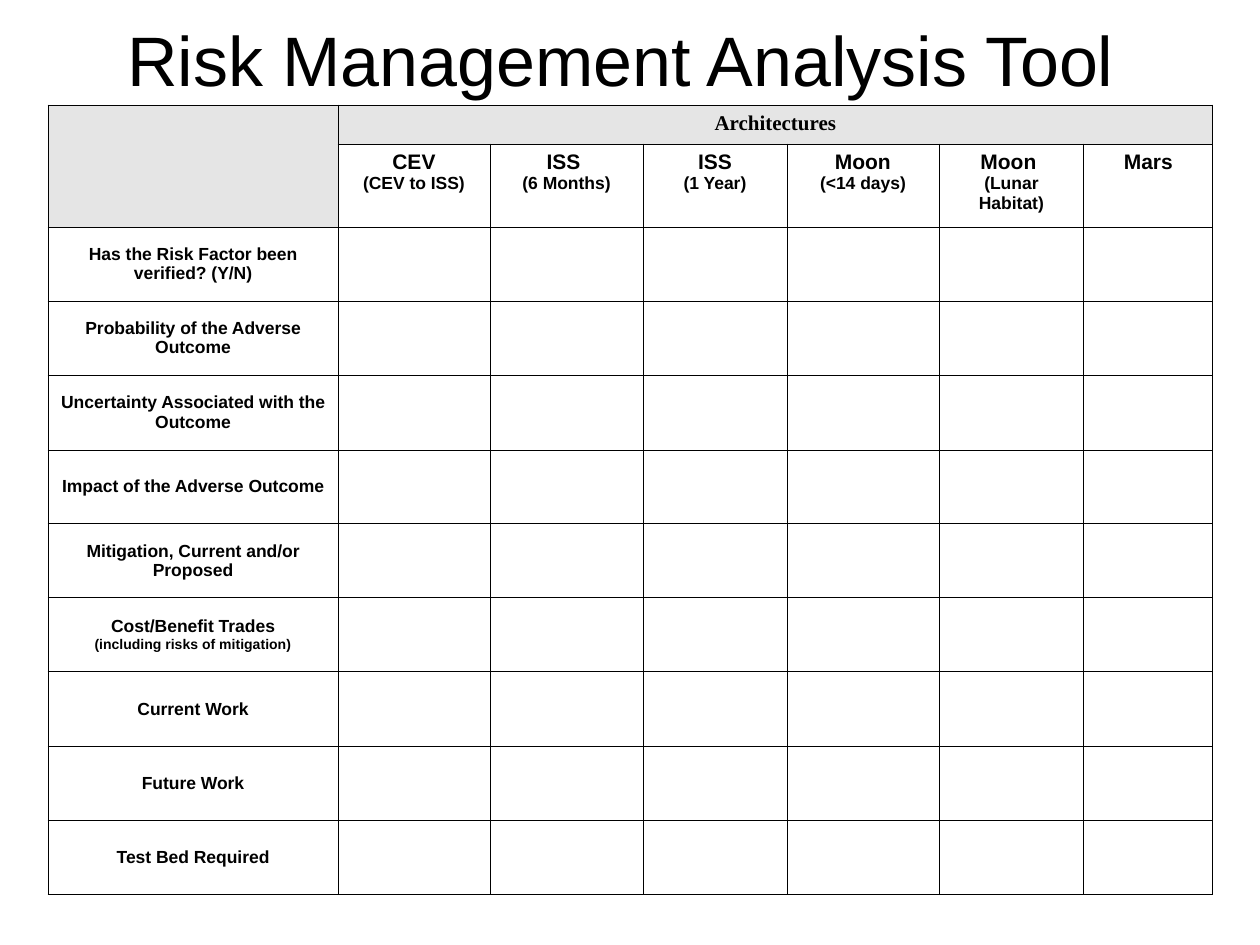
from dataclasses import dataclass

from lxml.etree import SubElement
from pptx import Presentation
from pptx.dml.color import RGBColor as RGB
from pptx.enum.text import MSO_ANCHOR as ANCHOR, PP_ALIGN as ALIGN
from pptx.oxml.ns import qn
from pptx.util import Emu, Pt

SCALE = 914400 // 126  # EMU per px


@dataclass(frozen=True)
class Theme:
    ink: RGB = RGB(0x00, 0x00, 0x00)
    shade: RGB = RGB(0xE5, 0xE5, 0xE5)
    sans: str = "Arial"
    serif: str = "Times New Roman"
    title: int = 40
    head: int = 12
    label: int = 10
    note: int = 8
    border: float = 0.45


THEME = Theme()


def write(tf, lines, font=THEME.sans, bold=True):
    """Write (text, size) lines as centred paragraphs."""
    for i, (text, size) in enumerate(lines):
        p = tf.add_paragraph() if i else tf.paragraphs[0]
        p.alignment = ALIGN.CENTER
        r = p.add_run()
        r.text = text
        r.font.name, r.font.size, r.font.bold = font, Pt(size), bold
        r.font.color.rgb = THEME.ink


def style_cell(cell, fill=None):
    """Draw the four borders, then set the fill, which must follow them."""
    tc_pr = cell._tc.get_or_add_tcPr()
    for side in ("lnL", "lnR", "lnT", "lnB"):
        ln = SubElement(tc_pr, qn(f"a:{side}"), w=str(int(Pt(THEME.border))))
        line_fill = SubElement(ln, qn("a:solidFill"))
        SubElement(line_fill, qn("a:srgbClr"), val=str(THEME.ink))
    if fill is None:
        cell.fill.background()
    else:
        cell.fill.solid()
        cell.fill.fore_color.rgb = fill


prs = Presentation()
prs.slide_width, prs.slide_height = Emu(1260 * SCALE), Emu(945 * SCALE)
s = prs.slides.add_slide(prs.slide_layouts[5])

title = s.shapes.title
title.left, title.top, title.width, title.height = (
    Emu(v * SCALE) for v in (63, -21, 1134, 158))
title.text_frame.vertical_anchor = ANCHOR.MIDDLE
# The trailing space shifts the centred title slightly left
write(title.text_frame, [("Risk Management Analysis Tool ", THEME.title)], bold=False)

architectures = [
    ("CEV", "(CEV to ISS)"),
    ("ISS ", "(6 Months)"),
    ("ISS", "(1 Year)"),
    ("Moon", "(<14 days)"),
    ("Moon ", "(Lunar Habitat)"),
    ("Mars",),
]
questions = [
    ("Has the Risk Factor been verified? (Y/N)",),
    ("Probability of the Adverse Outcome",),
    ("Uncertainty Associated with the Outcome",),
    ("Impact of the Adverse Outcome",),
    ("Mitigation, Current and/or Proposed",),
    ("Cost/Benefit Trades", "(including risks of mitigation)"),
    ("Current Work",),
    ("Future Work",),
    ("Test Bed Required",),
]

# Column and row edges in px; the question rows share their height equally
xs = [48, 338, 490, 643, 787, 939, 1084, 1213]
body_top, body_bottom = 227, 895
n = len(questions)
ys = [105, 144] + [body_top + round((body_bottom - body_top) * i / n) for i in range(n + 1)]

frame = s.shapes.add_table(
    len(ys) - 1, len(xs) - 1, Emu(xs[0] * SCALE), Emu(ys[0] * SCALE),
    Emu((xs[-1] - xs[0]) * SCALE), Emu((ys[-1] - ys[0]) * SCALE))
table = frame.table
table.first_row = table.horz_banding = False
for col, left, right in zip(table.columns, xs, xs[1:]):
    col.width = Emu((right - left) * SCALE)
for row, top, bottom in zip(table.rows, ys, ys[1:]):
    row.height = Emu((bottom - top) * SCALE)

for i, row in enumerate(table.rows):
    for j, cell in enumerate(row.cells):
        shaded = i == 0 or (i == 1 and j == 0)
        style_cell(cell, THEME.shade if shaded else None)

table.cell(0, 0).merge(table.cell(1, 0))
table.cell(0, 1).merge(table.cell(0, len(xs) - 2))
write(table.cell(0, 1).text_frame, [("Architectures", THEME.head)], font=THEME.serif)

for j, lines in enumerate(architectures, 1):
    write(table.cell(1, j).text_frame, zip(lines, (THEME.head, THEME.label)))

for i, lines in enumerate(questions, 2):
    cell = table.cell(i, 0)
    cell.vertical_anchor = ANCHOR.MIDDLE
    write(cell.text_frame, zip(lines, (THEME.label, THEME.note)))

prs.save("out.pptx")
